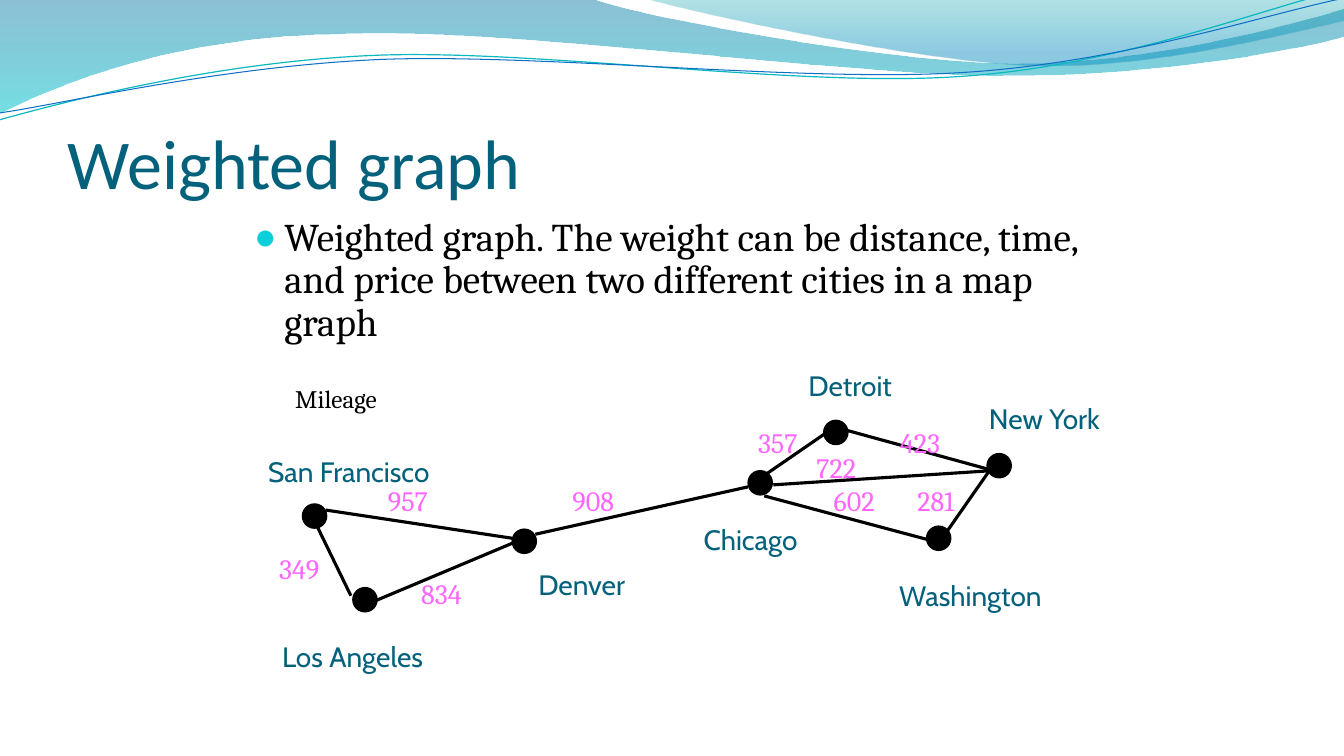
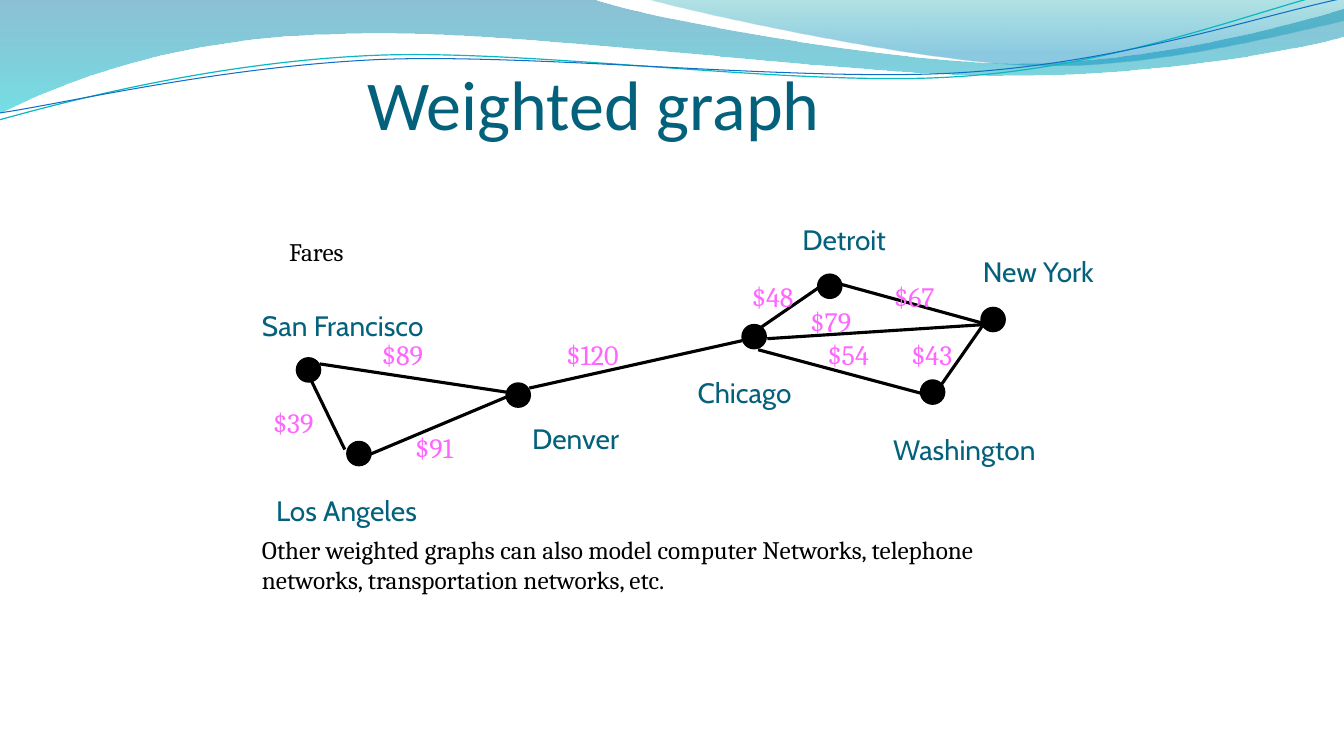
from dataclasses import dataclass
from typing import Union

from lxml import etree
from pptx import Presentation, util as u
from pptx.dml.color import RGBColor
from pptx.enum import shapes, text
from pptx.oxml.ns import qn
from pptx.shapes import shapetree as tree

PX = 9144  # EMU per px, 100 px to the inch
SLIDE_W, SLIDE_H = 1333, 750
NODE = 24
COLORS = {
    "title": "04617B", "text": "000000", "weight": "FF66FF", "bullet": "0BD0D9",
    "wave_top": "0074A1", "wave_bottom": "00C6CF",
    "crest_top": "00A1A9", "crest_bottom": "008BBF",
    "teal_line": "0AB8BF", "blue_line": "0F6FC6",
}
HEADING, BODY, LABEL = "Calibri", "Cambria", "Cabin"

Shapes = Union[tree.SlideShapes, tree.GroupShapes]


@dataclass(frozen=True)
class Stop:
    color: str
    alpha: int
    position: float


@dataclass(frozen=True)
class Wave:
    """Start point, then segments of 2 numbers (line) or 6 (cubic curve)."""
    start: tuple[int, int]
    segments: list[tuple[int, ...]]
    stops: tuple[Stop, ...] = ()
    line: str = ""
    line_pt: float = 0


@dataclass(frozen=True)
class City:
    name: str
    x: int
    y: int
    label_x: int
    label_y: int
    label_w: int


@dataclass(frozen=True)
class Route:
    start: tuple[int, int]
    end: tuple[int, int]
    label: tuple[int, int]
    miles: str
    fare: str


WAVES = [
    Wave((0, 0), [
        (587, -1), (634, 17, 885, 63, 1011, 63), (1138, 63, 1278, 26, 1333, 9),
        (1335, 36), (1311, 44, 1160, 76, 994, 75), (829, 75, 509, 28, 343, 34),
        (172, 36, 61, 83, -1, 113), (0, 0)],
        stops=(Stop("wave_top", 45, 0), Stop("wave_bottom", 55, 1))),
    Wave((639, -1), [
        (679, 11, 909, 62, 1025, 65), (1141, 69, 1282, 32, 1333, 21),
        (1333, 0), (639, -1)],
        stops=(Stop("crest_top", 30, 0), Stop("crest_bottom", 45, 0.8))),
    Wave((-1, 119), [
        (64, 101, 211, 62, 369, 55), (527, 48, 790, 87, 950, 76),
        (1110, 66, 1252, 8, 1331, -10)], line="teal_line", line_pt=0.85),
    Wave((0, 112), [
        (63, 103, 218, 66, 378, 59), (537, 53, 796, 82, 955, 72),
        (1115, 62, 1255, 14, 1334, -2)], line="blue_line", line_pt=0.75),
]

CITIES = [
    City("San Francisco", 300, 500, 256, 446, 188),
    City("Denver", 508, 525, 524, 558, 108),
    City("Los Angeles", 350, 583, 270, 630, 165),
    City("New York", 979, 450, 971, 393, 138),
    City("Chicago", 742, 467, 688, 513, 116),
    City("Washington", 919, 522, 882, 569, 165),
    City("Detroit", 817, 417, 792, 361, 104),
]

ROUTES = [
    Route((313, 519), (348, 591), (267, 542), "349", "$39"),
    Route((820, 429), (759, 471), (742, 417), "357", "$48"),
    Route((323, 506), (508, 534), (375, 475), "957", "$89"),
    Route((508, 539), (370, 597), (408, 567), "834", "$91"),
    Route((840, 427), (982, 466), (883, 417), "423", "$67"),
    Route((767, 481), (983, 467), (800, 442), "722", "$79"),
    Route((758, 492), (919, 535), (817, 475), "602", "$54"),
    Route((742, 483), (531, 530), (558, 475), "908", "$120"),
    Route((982, 466), (938, 529), (900, 475), "281", "$43"),
]


def px(*lengths: int) -> list[u.Emu]:
    return [u.Emu(v * PX) for v in lengths]


def rgb(name: str) -> RGBColor:
    return RGBColor.from_string(COLORS[name])


def place(sp, x: int, y: int, w: int, h: int) -> None:
    sp.left, sp.top, sp.width, sp.height = px(x, y, w, h)


def style(p, size: int, font: str, color: str) -> None:
    for r in p.runs:
        r.font.size, r.font.name = u.Pt(size), font
        r.font.color.rgb = rgb(color)


def bend(sp, segments: list[tuple[int, ...]]) -> None:
    """Turn the straight segments that have control points into cubic curves."""
    for line, segment in zip(sp.element.xpath(".//a:lnTo"), segments):
        if len(segment) == 2:
            continue
        line.tag = qn("a:cubicBezTo")
        end = line[0]
        for x, y in (segment[0:2], segment[2:4]):
            control = etree.Element(qn("a:pt"), x=str(x * PX - sp.left),
                                    y=str(y * PX - sp.top))
            end.addprevious(control)


def add_wave(sps: tree.SlideShapes, wave: Wave):
    builder = sps.build_freeform(*px(*wave.start), scale=1.0)
    builder.add_line_segments([tuple(px(*segment[-2:])) for segment in wave.segments],
                              close=bool(wave.stops))
    sp = builder.convert_to_shape()
    bend(sp, wave.segments)
    sp.shadow.inherit = False
    if not wave.stops:
        sp.fill.background()
        sp.line.color.rgb, sp.line.width = rgb(wave.line), u.Pt(wave.line_pt)
        return sp
    sp.line.fill.background()
    sp.fill.gradient()
    sp.fill.gradient_angle = 270
    for gs, stop in zip(sp.fill.gradient_stops, wave.stops):
        gs.color.rgb, gs.position = rgb(stop.color), stop.position
    for color, stop in zip(sp.element.xpath(".//a:gs/a:srgbClr"), wave.stops):
        etree.SubElement(color, qn("a:alpha"), val=str(stop.alpha * 1000))
    return sp


def add_master_waves(prs, s) -> None:
    """Draw the waves on a slide, then move them behind the master's placeholders."""
    master = prs.slide_master.shapes.element
    for i, wave in enumerate(WAVES):
        sp = add_wave(s.shapes, wave)
        sp.element.xpath(".//p:cNvPr")[0].set("id", str(100 + i))
        master.insert(2 + i, sp.element)


def set_title(s, title: str, box: tuple[int, int, int, int]) -> None:
    sp = s.shapes.title
    place(sp, *box)
    tf = sp.text_frame
    tf.text = title
    tf.auto_size = text.MSO_AUTO_SIZE.NONE
    tf.vertical_anchor = text.MSO_ANCHOR.BOTTOM
    tf.margin_left, tf.margin_top, tf.margin_right, tf.margin_bottom = px(0, 5, 0, 0)
    p = tf.paragraphs[0]
    p.alignment = text.PP_ALIGN.LEFT
    style(p, 50, HEADING, "title")


def set_body(s, words: str, box: tuple[int, int, int, int]) -> None:
    sp = s.placeholders[1]
    place(sp, *box)
    tf = sp.text_frame
    tf.text = words
    tf.auto_size = text.MSO_AUTO_SIZE.NONE
    p = tf.paragraphs[0]
    pPr = p._p.get_or_add_pPr()
    pPr.set("marL", str(30 * PX))
    pPr.set("indent", str(-30 * PX))
    etree.SubElement(etree.SubElement(pPr, qn("a:buClr")), qn("a:srgbClr"),
                     val=COLORS["bullet"])
    etree.SubElement(pPr, qn("a:buSzPct"), val="95000")
    etree.SubElement(pPr, qn("a:buChar"), char="●")
    p.line_spacing, p.space_before = 0.9, u.Pt(0)
    style(p, 28, BODY, "text")


def add_text(sps: Shapes, words: str, box: tuple[int, int, int, int], size: int,
             font: str, color: str, wrap: bool = True) -> None:
    tf = sps.add_textbox(*px(*box)).text_frame
    tf.text = words
    tf.word_wrap = wrap
    tf.auto_size = text.MSO_AUTO_SIZE.SHAPE_TO_FIT_TEXT
    style(tf.paragraphs[0], size, font, color)


def add_route(sps: Shapes, route: Route, dx: int, dy: int) -> None:
    (x1, y1), (x2, y2) = route.start, route.end
    line = sps.add_connector(shapes.MSO_CONNECTOR.STRAIGHT,
                             *px(x1 + dx, y1 + dy, x2 + dx, y2 + dy))
    line.line.color.rgb, line.line.width = rgb("text"), u.Pt(2.25)
    etree.SubElement(line.element.spPr, qn("a:effectLst"))


def add_city(sps: Shapes, city: City, dx: int, dy: int) -> None:
    sp = sps.add_shape(shapes.MSO_SHAPE.OVAL,
                       *px(city.x + dx, city.y + dy, NODE, NODE))
    sp.shadow.inherit = False
    sp.fill.solid()
    sp.fill.fore_color.rgb = sp.line.color.rgb = rgb("text")
    sp.line.width = u.Pt(1)
    add_text(sps, city.name, (city.label_x + dx, city.label_y + dy, city.label_w, 43),
             20, LABEL, "title", wrap=False)


def add_map(s, caption: str, weights: list[str], dx: int = 0, dy: int = 0) -> None:
    """Draw the city graph, moved by dx and dy, with one weight per route."""
    group = s.shapes.add_group_shape().shapes
    for route in ROUTES:
        add_route(group, route, dx, dy)
    for city in CITIES:
        add_city(group, city, dx, dy)
    for route, weight in zip(ROUTES, weights):
        x, y = route.label
        add_text(s.shapes, weight, (x + dx, y + dy, 83, 43), 20, BODY, "weight")
    add_text(s.shapes, caption, (283 + dx, 375 + dy, 150, 40), 18, BODY, "text")


def main() -> None:
    prs = Presentation()
    prs.slide_width, prs.slide_height = px(SLIDE_W, SLIDE_H)

    s = prs.slides.add_slide(prs.slide_layouts[1])
    add_master_waves(prs, s)
    set_title(s, "Weighted graph", (67, 77, 1200, 125))
    set_body(s, "Weighted graph. The weight can be distance, time, and price "
                "between two different cities in a map graph", (242, 211, 850, 146))
    add_map(s, "Mileage", [route.miles for route in ROUTES])

    s = prs.slides.add_slide(prs.slide_layouts[5])
    set_title(s, "Weighted graph", (364, 20, 725, 123))
    add_map(s, "Fares", [route.fare for route in ROUTES], dx=-6, dy=-145)
    add_text(s.shapes, "Other weighted graphs can also model computer Networks, "
                       "telephone networks, transportation networks, etc.",
             (250, 525, 817, 71), 18, BODY, "text")

    prs.save("out.pptx")


if __name__ == "__main__":
    main()
